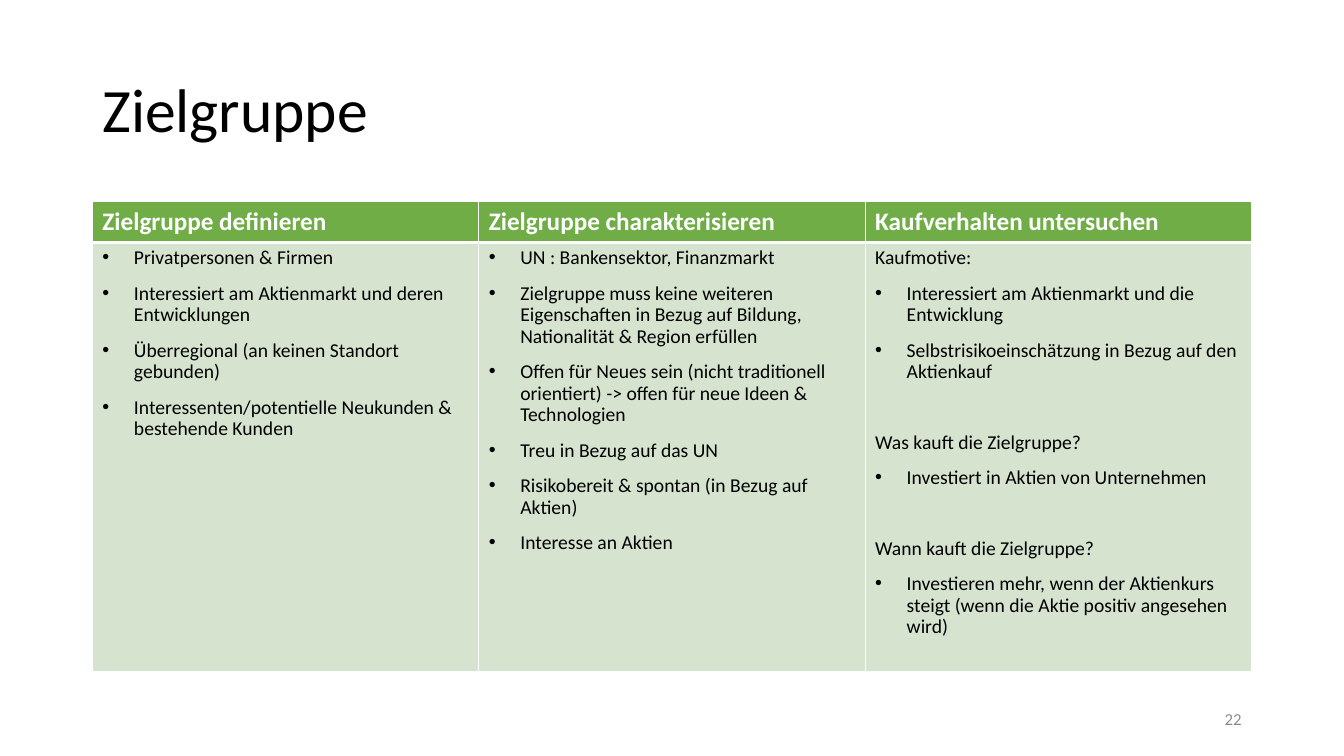
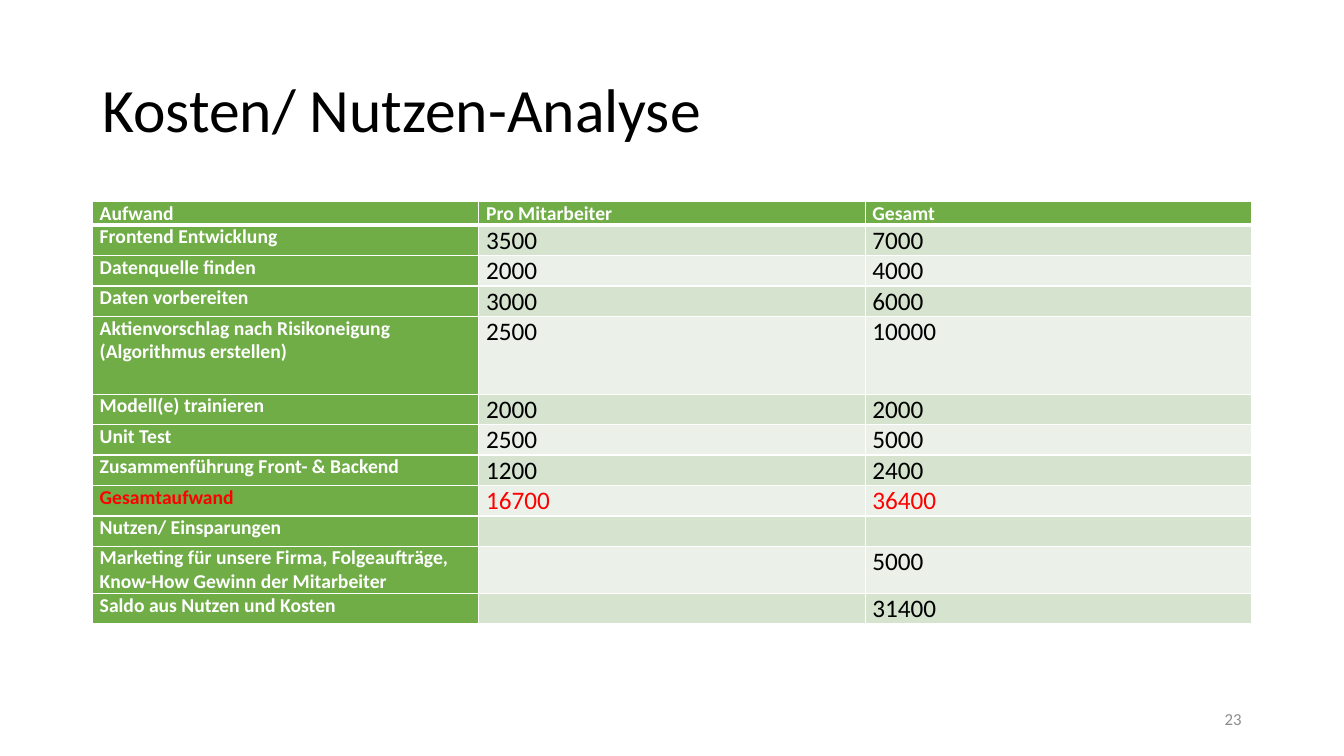
"""Build two slides: target group and cost-benefit analysis."""
from dataclasses import dataclass

from lxml.etree import SubElement as Sub
from pptx import Presentation
from pptx.dml.color import RGBColor as RGB
from pptx.enum.text import MSO_ANCHOR as Anchor, PP_ALIGN as Align
from pptx.oxml.ns import qn
from pptx.util import Emu, Pt

FONT = "Calibri"
WHITE = RGB(0xFF, 0xFF, 0xFF)
BLACK = RGB(0x00, 0x00, 0x00)
RED = RGB(0xFF, 0x00, 0x00)
GRAY = RGB(0x8C, 0x8C, 0x8C)
GREEN = RGB(0x70, 0xAD, 0x47)
SAGE = RGB(0xD5, 0xE3, 0xCF)
PALE = RGB(0xEB, 0xF1, 0xE9)

LEFT, TOP, WIDE = 88, 192, 1104
HANG = 30


@dataclass(frozen=True)
class Style:
    size: int
    ink: RGB
    bold: bool = False


@dataclass(frozen=True)
class Line:
    text: str
    mark: bool = True
    gap: int = 10


@dataclass(frozen=True)
class Group:
    head: str
    lines: tuple[Line, ...]


@dataclass(frozen=True)
class Cost:
    label: str
    each: str
    total: str
    high: int = 29
    red: bool = False


TITLE = Style(44, BLACK)
PAGE = Style(12, GRAY)
HEAD = Style(18, WHITE, True)
BODY = Style(14, BLACK)
LABEL = Style(14, WHITE, True)
VALUE = Style(18, BLACK)

GROUPS = (
    Group("Zielgruppe definieren", (
        Line("Privatpersonen & Firmen"),
        Line("Interessiert am Aktienmarkt und deren Entwicklungen"),
        Line("Überregional (an keinen Standort gebunden)"),
        Line("Interessenten/potentielle Neukunden & bestehende Kunden"),
    )),
    Group("Zielgruppe charakterisieren", (
        Line("UN : Bankensektor, Finanzmarkt"),
        Line("Zielgruppe muss keine weiteren Eigenschaften in Bezug auf "
             "Bildung, Nationalität & Region erfüllen"),
        Line("Offen für Neues sein (nicht traditionell orientiert) -> "
             "offen für neue Ideen & Technologien"),
        Line("Treu in Bezug auf das UN"),
        Line("Risikobereit & spontan (in Bezug auf Aktien)"),
        Line("Interesse an Aktien"),
    )),
    Group("Kaufverhalten untersuchen", (
        Line("Kaufmotive:", False),
        Line("Interessiert am Aktienmarkt und die Entwicklung"),
        Line("Selbstrisikoeinschätzung in Bezug auf den Aktienkauf"),
        Line("Was kauft die Zielgruppe?", False, 35),
        Line("Investiert in Aktien von Unternehmen"),
        Line("Wann kauft die Zielgruppe?", False, 35),
        Line("Investieren mehr, wenn der Aktienkurs steigt "
             "(wenn die Aktie positiv angesehen wird)"),
    )),
)

COSTS = (
    Cost("Aufwand", "Pro Mitarbeiter", "Gesamt", 22),
    Cost("Frontend Entwicklung", "3500", "7000"),
    Cost("Datenquelle finden", "2000", "4000"),
    Cost("Daten vorbereiten", "3000", "6000"),
    Cost("Aktienvorschlag nach Risikoneigung (Algorithmus erstellen)",
         "2500", "10000", 74),
    Cost("Modell(e) trainieren", "2000", "2000"),
    Cost("Unit Test", "2500", "5000"),
    Cost("Zusammenführung Front- & Backend", "1200", "2400"),
    Cost("Gesamtaufwand", "16700", "36400", red=True),
    Cost("Nutzen/ Einsparungen", "", ""),
    Cost("Marketing für unsere Firma, Folgeaufträge, "
         "Know-How Gewinn der Mitarbeiter", "", "5000", 45),
    Cost("Saldo aus Nutzen und Kosten", "", "31400"),
)


def px(num: int) -> Emu:
    """Turn px into EMU."""
    return Emu(num * 9525)


def dress(para, style: Style) -> None:
    """Set the font of a paragraph."""
    font = para.font
    font.name, font.size, font.bold = FONT, Pt(style.size), style.bold
    font.color.rgb = style.ink


def label(slide, text: str, box: tuple[int, ...], style: Style,
          align: Align = Align.LEFT) -> None:
    """Add a text box with one centred line."""
    frame = slide.shapes.add_textbox(*map(px, box)).text_frame
    frame.word_wrap = True
    frame.vertical_anchor = Anchor.MIDDLE
    para = frame.paragraphs[0]
    para.text, para.alignment, para.line_spacing = text, align, 0.9
    dress(para, style)


def start(deck, title: str, page: int):
    """Add a slide with its title and page number."""
    slide = deck.slides.add_slide(deck.slide_layouts[6])
    label(slide, title, (LEFT, 38, WIDE, 139), TITLE)
    label(slide, str(page), (904, 667, 288, 38), PAGE, Align.RIGHT)
    return slide


def grid(slide, highs: list[int]):
    """Add a table of three equal columns."""
    table = slide.shapes.add_table(
        len(highs), 3, px(LEFT), px(TOP), px(WIDE), px(sum(highs))).table
    for row, high in zip(table.rows, highs):
        row.height = px(high)
    return table


def paint(cell, fill: RGB, row: int) -> None:
    """Give a cell white borders and a fill, with a thick line under the head."""
    props = cell._tc.get_or_add_tcPr()
    thick = {0: "lnB", 1: "lnT"}.get(row)
    for side in ("lnL", "lnR", "lnT", "lnB"):
        edge = Sub(props, qn(f"a:{side}"), w=str(Pt(3 if side == thick else 1)))
        solid = Sub(edge, qn("a:solidFill"))
        Sub(solid, qn("a:srgbClr"), val=str(WHITE))
    cell.fill.solid()
    cell.fill.fore_color.rgb = fill


def put(cell, text: str, style: Style) -> None:
    """Write one paragraph into a cell."""
    cell.text = text
    dress(cell.text_frame.paragraphs[0], style)


def listing(cell, lines: tuple[Line, ...]) -> None:
    """Write plain and bulleted lines into a cell."""
    frame = cell.text_frame
    for num, line in enumerate(lines):
        para = frame.add_paragraph() if num else frame.paragraphs[0]
        para.text, para.line_spacing = line.text, 0.9
        para.space_before = Pt(line.gap)
        if line.mark:
            props = para._p.get_or_add_pPr()
            props.set("marL", str(px(HANG)))
            props.set("indent", str(px(-HANG)))
            Sub(props, qn("a:buFont"), typeface="Arial")
            Sub(props, qn("a:buChar"), char="•")
        dress(para, BODY)


def target(deck) -> None:
    """Draw the target group slide."""
    table = grid(start(deck, "Zielgruppe", 22), [39, 409])
    for col, group in enumerate(GROUPS):
        head, body = table.cell(0, col), table.cell(1, col)
        paint(head, GREEN, 0)
        put(head, group.head, HEAD)
        paint(body, SAGE, 1)
        listing(body, group.lines)


def costs(deck) -> None:
    """Draw the cost-benefit slide."""
    slide = start(deck, "Kosten/ Nutzen-Analyse", 23)
    table = grid(slide, [cost.high for cost in COSTS])
    for row, cost in enumerate(COSTS):
        for col, text in enumerate((cost.label, cost.each, cost.total)):
            cell = table.cell(row, col)
            cell.margin_left = cell.margin_right = px(7)
            cell.margin_top = cell.margin_bottom = 0
            lead = row == 0 or col == 0
            paint(cell, GREEN if lead else SAGE if row % 2 else PALE, row)
            style = LABEL if lead else VALUE
            if cost.red:
                style = Style(style.size, RED, style.bold)
            if text:
                put(cell, text, style)


def main() -> None:
    """Build and save the deck."""
    deck = Presentation()
    deck.slide_width, deck.slide_height = px(1280), px(720)
    target(deck)
    costs(deck)
    deck.save("out.pptx")


if __name__ == "__main__":
    main()
